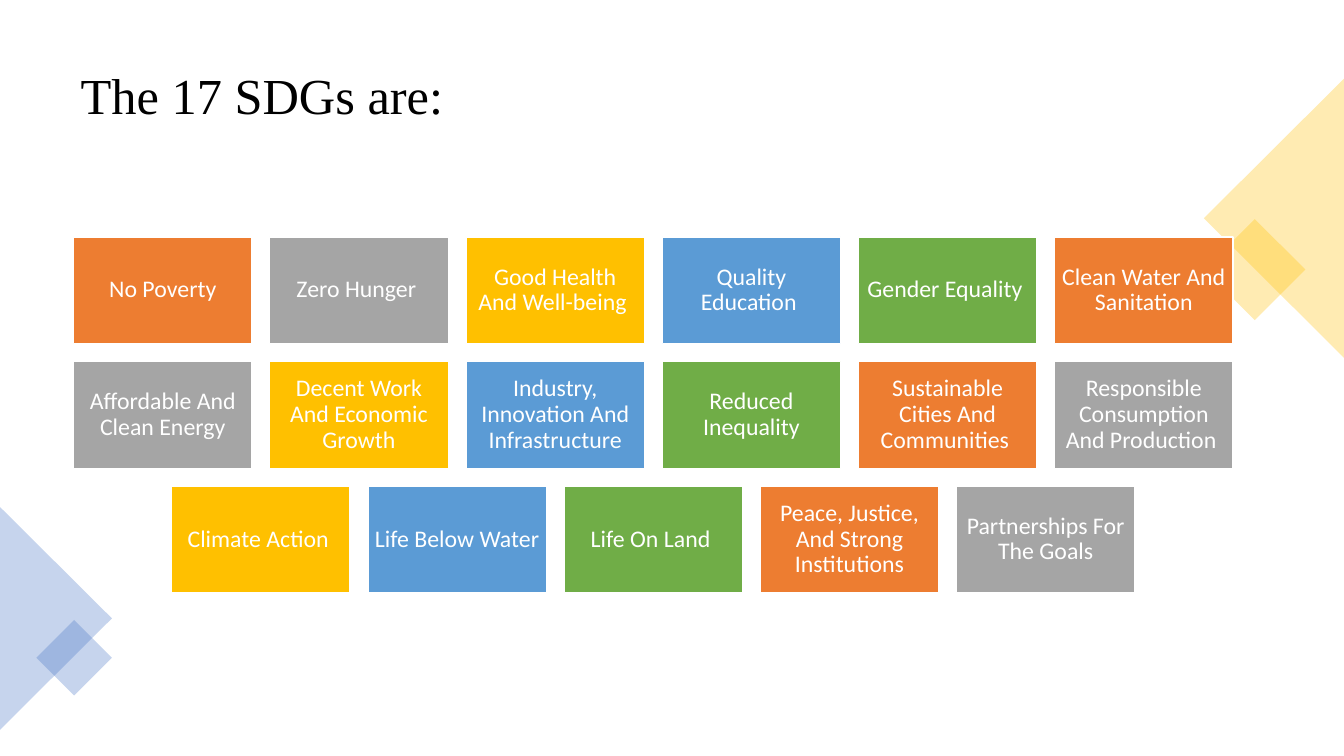
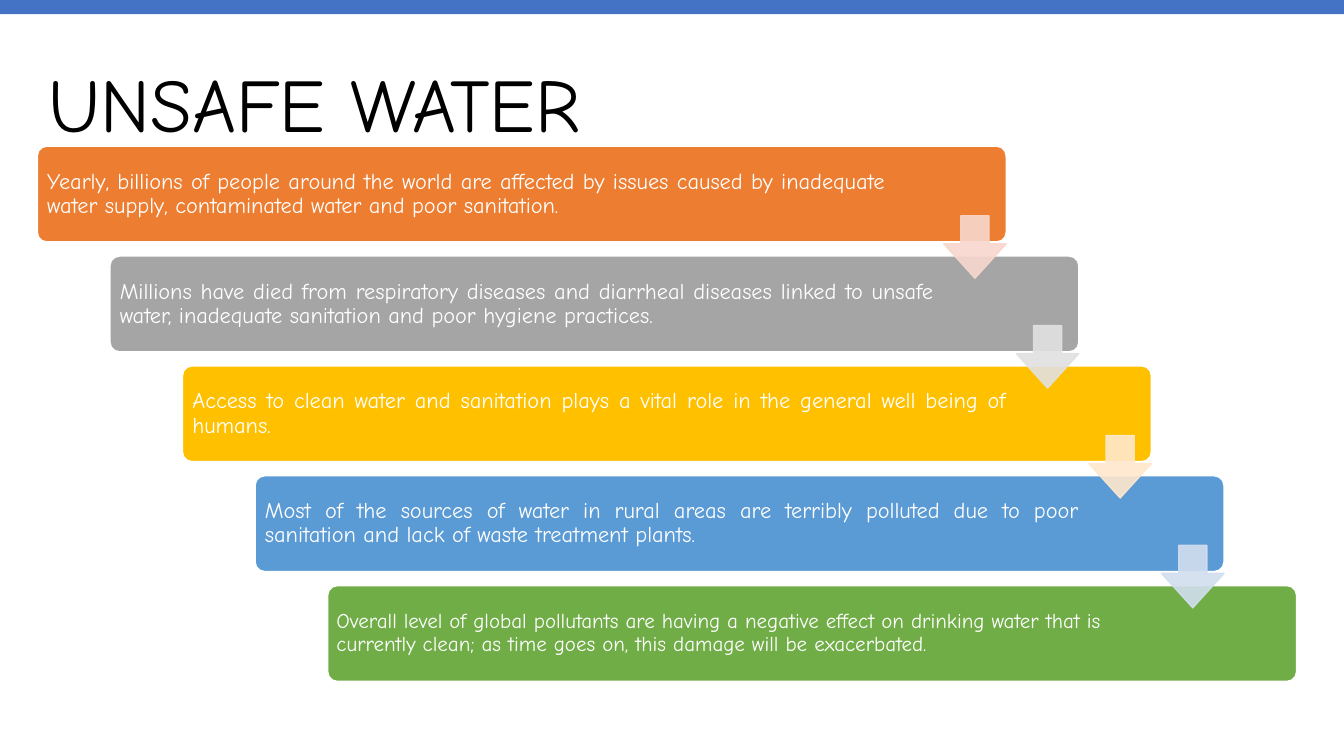
"""Build two slides: a tile grid of goals and a staircase of water facts."""
import dataclasses

import pptx
import pptx.dml.color
import pptx.enum.shapes
import pptx.enum.text
import pptx.oxml.ns
import pptx.util
from lxml import etree

SHAPE = pptx.enum.shapes.MSO_SHAPE
ALIGN = pptx.enum.text.PP_ALIGN
ANCHOR = pptx.enum.text.MSO_ANCHOR
QN = pptx.oxml.ns.qn
PX = 9144


@dataclasses.dataclass(frozen=True)
class Theme:
    """Colours, fonts and type sizes."""
    cycle: tuple = ("ED7D31", "A5A5A5", "FFC000", "5B9BD5", "70AD47")
    tints: tuple = ("F8D7CE", "E1E1E1", "FFE8CC", "D2DEEF")
    white: str = "FFFFFF"
    black: str = "000000"
    blue: str = "4472C4"
    gold: str = "FFC000"
    serif: str = "Times New Roman"
    sans: str = "Calibri"
    comic: str = "Comic Neue"
    head: int = 36
    big: int = 54
    tile: int = 17
    fact: int = 16
    small: int = 15


THEME = Theme()

GOALS = (
    ("No Poverty", "Zero Hunger ", "Good Health And Well-being ",
     "Quality Education ", "Gender Equality ", "Clean Water And Sanitation"),
    ("Affordable And Clean Energy", "Decent Work And Economic Growth",
     "Industry, Innovation And Infrastructure", "Reduced Inequality",
     "Sustainable Cities And Communities ",
     "Responsible Consumption And Production "),
    ("Climate Action ", "Life Below Water", "Life On Land ",
     "Peace, Justice, And Strong Institutions", "Partnerships For The Goals"),
)

FACTS = (
    "Yearly, billions of people around the world are affected by issues caused by "
    "inadequate water supply, contaminated water and poor sanitation.",
    "Millions have died from respiratory diseases and diarrheal diseases linked to "
    "unsafe water, inadequate sanitation and poor hygiene practices.",
    "Access to clean water and sanitation plays a vital role in the general well "
    "being of humans.",
    "Most of the sources of water in rural areas are terribly polluted due to poor "
    "sanitation and lack of waste treatment plants.",
    "Overall level of global pollutants are having a negative effect on drinking "
    "water that is currently clean; as time goes on, this damage will be exacerbated.",
)


def px(size):
    """Turn px into EMU."""
    return pptx.util.Emu(round(size * PX))


def paint(fill, tone):
    """Fill with one solid colour."""
    fill.solid()
    fill.fore_color.rgb = pptx.dml.color.RGBColor.from_string(tone)


def write(frame, text, font, size, tone, align):
    """Write one formatted paragraph."""
    frame.text = text
    frame.word_wrap = True
    frame.auto_size = pptx.enum.text.MSO_AUTO_SIZE.NONE
    frame.vertical_anchor = ANCHOR.MIDDLE
    para = frame.paragraphs[0]
    para.alignment = align
    para.line_spacing = 0.9
    for run in para.runs:
        run.font.name = font
        run.font.size = pptx.util.Pt(size)
        paint(run.font.fill, tone)


def inset(frame, pad, right):
    """Set the margins of a text frame."""
    frame.margin_left = frame.margin_top = frame.margin_bottom = px(pad)
    frame.margin_right = px(right)


def draw(slide, kind, box, tone, edge=None, alpha=100, turn=0, adjust=()):
    """Add a flat preset shape."""
    shape = slide.shapes.add_shape(kind, *map(px, box))
    shape.shadow.inherit = False
    shape.rotation = turn
    for index, value in enumerate(adjust):
        shape.adjustments[index] = value
    paint(shape.fill, tone)
    if edge:
        paint(shape.line.fill, edge)
        shape.line.width = pptx.util.Pt(1)
    else:
        shape.line.fill.background()
    if alpha < 100:
        for node in shape.element.iter(QN("a:srgbClr")):
            etree.SubElement(node, QN("a:alpha"), val=str(alpha * 1000))
    return shape


def start(deck, text, box, font, size):
    """Add a slide with its title."""
    slide = deck.slides.add_slide(deck.slide_layouts.get_by_name("Title Only"))
    title = slide.shapes.title
    title.left, title.top, title.width, title.height = map(px, box)
    write(title.text_frame, text, font, size, THEME.black, ALIGN.LEFT)
    return slide


def corners(slide):
    """Draw the pale shapes at both edges."""
    for kind, box, tone, turn in (
        (SHAPE.RECTANGLE, (1209, 232, 71, 71), THEME.gold, 45),
        (SHAPE.ISOSCELES_TRIANGLE, (1125, 147, 277, 139), THEME.gold, 270),
        (SHAPE.ISOSCELES_TRIANGLE, (-55, 558, 221, 111), THEME.blue, 90),
        (SHAPE.RECTANGLE, (47, 626, 53, 53), THEME.blue, 45),
    ):
        draw(slide, kind, box, tone, alpha=30, turn=turn)


def tiles(slide, rows):
    """Draw centred rows of tiles with equal gaps."""
    left, top, span, wide, high = 73, 235, 1150, 177, 106
    most = max(map(len, rows))
    gap = (span - most * wide) / (most - 1)
    count = 0
    for line, row in enumerate(rows):
        shift = (most - len(row)) * (wide + gap) / 2
        for col, text in enumerate(row):
            box = (left + shift + col * (wide + gap),
                   top + line * (high + gap), wide, high)
            tone = THEME.cycle[count % len(THEME.cycle)]
            tile = draw(slide, SHAPE.RECTANGLE, box, tone, THEME.white)
            write(tile.text_frame, text, THEME.sans, THEME.tile,
                  THEME.white, ALIGN.CENTER)
            inset(tile.text_frame, 7, 7)
            count += 1


def stairs(slide, facts):
    """Draw stepped bars joined by block arrows."""
    left, top, across, down = 37, 145, 72, 109
    last = len(facts) - 1
    for step, text in enumerate(facts):
        box = (left + step * across, top + step * down, 961, 95)
        bar = draw(slide, SHAPE.ROUNDED_RECTANGLE, box, THEME.cycle[step],
                   THEME.white, adjust=(0.1,))
        final = step == last
        write(bar.text_frame, text, THEME.comic,
              THEME.small if final else THEME.fact, THEME.white,
              ALIGN.LEFT if final else ALIGN.JUSTIFY)
        inset(bar.text_frame, 6 if final else 7, 141 if step else 117)
    for step, tint in enumerate(THEME.tints):
        box = (left + 899 + step * across, top + 69 + step * down, 62, 62)
        draw(slide, SHAPE.DOWN_ARROW, box, tint, tint, alpha=90,
             adjust=(0.45, 0.55))


def main():
    """Build and save the deck."""
    deck = pptx.Presentation()
    deck.slide_width, deck.slide_height = px(1333), px(750)
    goals = start(deck, "The 17 SDGs are:", (70, 35, 1193, 124),
                  THEME.serif, THEME.head)
    corners(goals)
    tiles(goals, GOALS)
    water = start(deck, "UNSAFE WATER", (38, 35, 1248, 145),
                  THEME.comic, THEME.big)
    draw(water, SHAPE.RECTANGLE, (0, 0, 1333, 14), THEME.blue)
    stairs(water, FACTS)
    deck.save("out.pptx")


if __name__ == "__main__":
    main()
